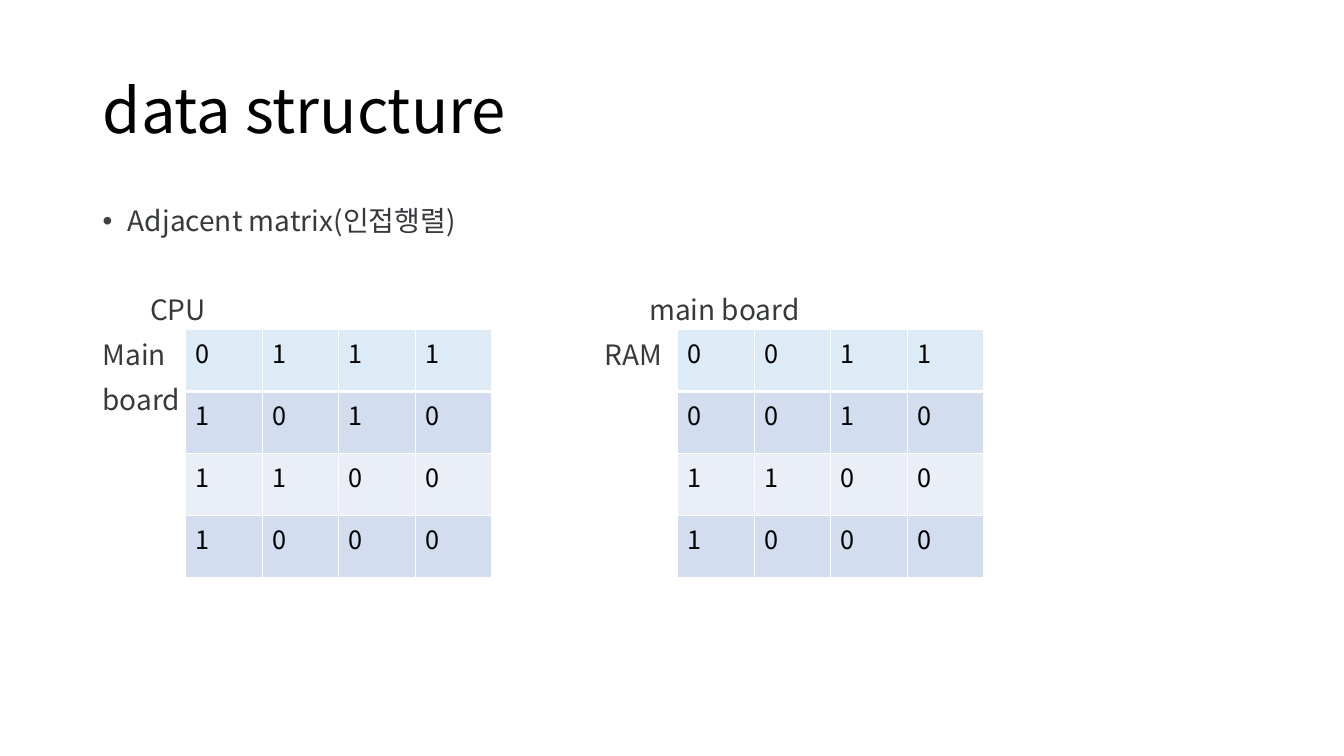
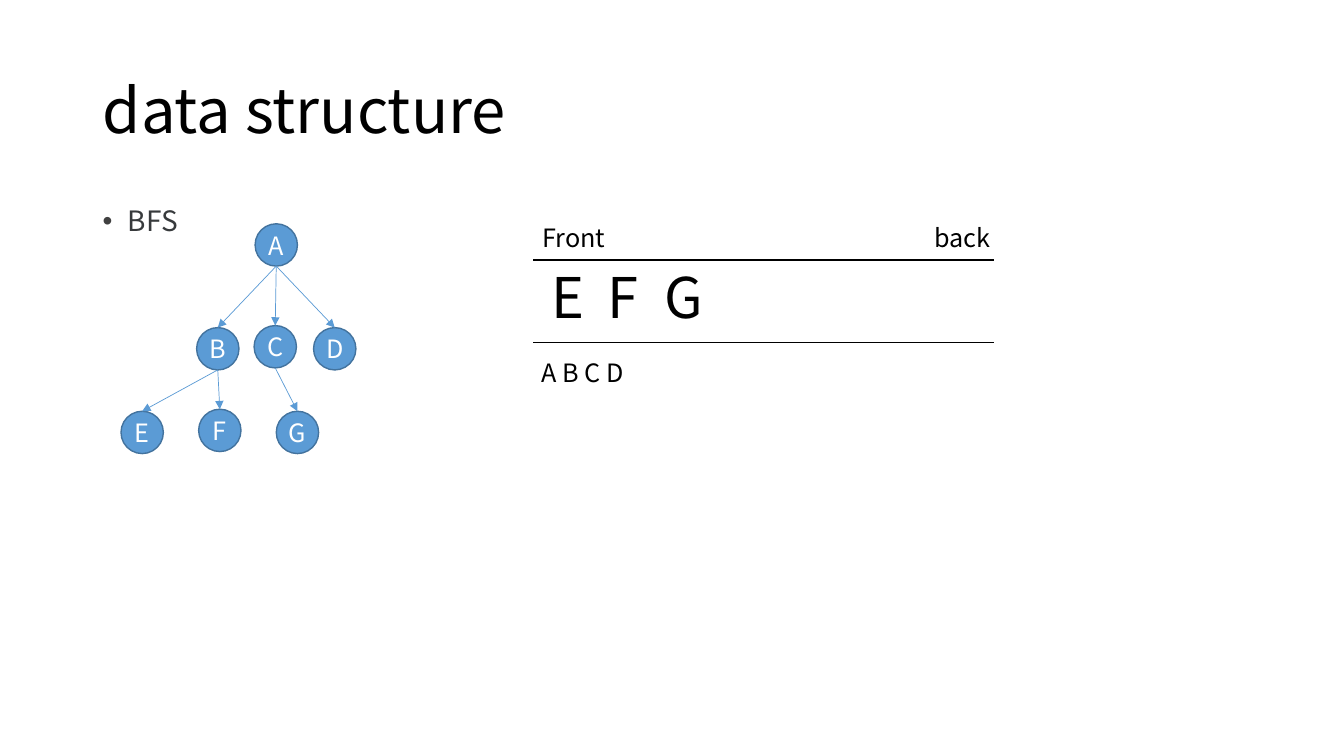
from dataclasses import dataclass

from pptx import Presentation
from pptx import util as u
from pptx.dml.color import RGBColor
from pptx.enum import shapes, text
from pptx.oxml import xmlchemy
from pptx.oxml.ns import qn
from lxml import etree


@dataclass(frozen=True)
class Theme:
    font: str = "Noto Sans CJK KR"
    black: str = "000000"
    white: str = "FFFFFF"
    body: str = "373A3C"
    bullet: str = "404040"
    node: str = "5B9BD5"
    node_line: str = "43739E"
    header_row: str = "DDEBF7"
    dark_row: str = "D2DEEF"
    light_row: str = "EAEFF7"
    title_size: int = 44
    queue_size: int = 40
    body_size: int = 20
    small_size: int = 18
    body_leading: int = 32


THEME = Theme()
NODE_SIZE = 0.42


class Deck:
    def __init__(self, theme):
        self.theme = theme
        self.presentation = Presentation()
        self.presentation.slide_width = u.Inches(13.33)
        self.presentation.slide_height = u.Inches(7.5)
        self.slide = None

    def add_slide(self, title):
        layout = self.presentation.slide_layouts[5]
        self.slide = self.presentation.slides.add_slide(layout)
        shape = self.slide.shapes.title
        shape.left, shape.top = u.Inches(0.92), u.Inches(0.4)
        shape.width, shape.height = u.Inches(11.5), u.Inches(1.45)
        frame = shape.text_frame
        frame.text = title
        frame.vertical_anchor = text.MSO_ANCHOR.MIDDLE
        frame.paragraphs[0].line_spacing = 0.9
        self.style(frame, self.theme.title_size, self.theme.black)

    def style(self, frame, size, color, align=text.PP_ALIGN.LEFT):
        for paragraph in frame.paragraphs:
            paragraph.alignment = align
            for run in paragraph.runs:
                font = run.font
                font.size, font.name, font.bold = u.Pt(size), self.theme.font, False
                font.color.rgb = RGBColor.from_string(color)
                properties = run._r.get_or_add_rPr()
                etree.SubElement(properties, qn("a:ea"), typeface=self.theme.font)

    def label(self, content, left, top, width, height=0.46, size=THEME.small_size,
              color=THEME.black, align=text.PP_ALIGN.LEFT):
        box = self.slide.shapes.add_textbox(
            u.Inches(left), u.Inches(top), u.Inches(width), u.Inches(height))
        frame = box.text_frame
        frame.text = content
        frame.word_wrap = True
        self.style(frame, size, color, align)
        return frame

    def body_label(self, content, left, top, width):
        height = 0.1 + 0.45 * len(content.splitlines())
        frame = self.label(content, left, top, width, height,
                           self.theme.body_size, self.theme.body)
        for paragraph in frame.paragraphs:
            paragraph.line_spacing = u.Pt(self.theme.body_leading)
        return frame

    def bullet(self, content, width):
        frame = self.body_label(content, 0.92, 1.86, width)
        properties = frame.paragraphs[0]._p.get_or_add_pPr()
        properties.set("marL", str(u.Inches(0.25)))
        properties.set("indent", str(-u.Inches(0.25)))
        color = etree.SubElement(properties, qn("a:buClr"))
        etree.SubElement(color, qn("a:srgbClr"), val=self.theme.bullet)
        etree.SubElement(properties, qn("a:buFont"), typeface="Arial")
        etree.SubElement(properties, qn("a:buChar"), char="•")

    def table(self, rows, columns, left, top, width, height):
        """Add a table without the banding of its style."""
        table = self.slide.shapes.add_table(
            rows, columns, u.Inches(left), u.Inches(top),
            u.Inches(width), u.Inches(height)).table
        table.first_row = table.horz_banding = False
        return table

    def cell_borders(self, cell, color, **widths):
        """Draw borders by side (L, R, T, B); widths are points. Call before filling."""
        properties = cell._tc.get_or_add_tcPr()
        for side in "LRTB":
            if side in widths:
                line = etree.SubElement(properties, qn("a:ln" + side),
                                        w=str(u.Pt(widths[side])))
                fill = etree.SubElement(line, qn("a:solidFill"))
                etree.SubElement(fill, qn("a:srgbClr"), val=color)

    def matrix(self, rows, left, top):
        theme = self.theme
        table = self.table(len(rows), len(rows[0]), left, top, 3.04, 2.46)
        fills = [theme.header_row, theme.dark_row, theme.light_row, theme.dark_row]
        for row_index, (values, fill) in enumerate(zip(rows, fills)):
            for column_index, value in enumerate(values):
                cell = table.cell(row_index, column_index)
                cell.text_frame.text = value
                self.style(cell.text_frame, theme.small_size, theme.black)
                self.cell_borders(cell, theme.white, L=1, R=1,
                                  T=3 if row_index == 1 else 1,
                                  B=3 if row_index == 0 else 1)
                cell.fill.solid()
                cell.fill.fore_color.rgb = RGBColor.from_string(fill)

    def queue(self, left, top, width, height):
        cell = self.table(1, 1, left, top, width, height).cell(0, 0)
        self.cell_borders(cell, self.theme.black, T=1, B=1)
        cell.fill.background()

    def node(self, name, left, top):
        theme = self.theme
        shape = self.slide.shapes.add_shape(
            shapes.MSO_SHAPE.OVAL, u.Inches(left), u.Inches(top),
            u.Inches(NODE_SIZE), u.Inches(NODE_SIZE))
        shape.shadow.inherit = False
        shape.fill.solid()
        shape.fill.fore_color.rgb = RGBColor.from_string(theme.node)
        shape.line.color.rgb = RGBColor.from_string(theme.node_line)
        shape.line.width = u.Pt(1)
        frame = shape.text_frame
        frame.margin_left = frame.margin_right = 0
        frame.margin_top = frame.margin_bottom = 0
        frame.vertical_anchor = text.MSO_ANCHOR.MIDDLE
        frame.text = name
        self.style(frame, theme.small_size, theme.white, text.PP_ALIGN.CENTER)
        return shape

    def arrow(self, parent, child):
        """Point from the bottom of one node to the top of another."""
        connector = self.slide.shapes.add_connector(
            shapes.MSO_CONNECTOR.STRAIGHT,
            parent.left + parent.width // 2, parent.top + parent.height,
            child.left + child.width // 2, child.top)
        connector.line.color.rgb = RGBColor.from_string(self.theme.node)
        connector.line.width = u.Pt(0.5)
        properties = connector._element.spPr
        etree.SubElement(properties.find(qn("a:ln")), qn("a:tailEnd"), type="triangle")
        etree.SubElement(properties, qn("a:effectLst"))


def add_matrix_slide(deck):
    deck.add_slide("data structure")
    deck.bullet("Adjacent matrix(인접행렬)", 11.5)
    deck.body_label("CPU", 1.39, 2.74, 1.5)
    deck.body_label("Main\nboard", 0.92, 3.19, 1.1)
    deck.body_label("main board", 6.34, 2.74, 2.5)
    deck.body_label("RAM", 5.9, 3.19, 0.9)
    deck.matrix(["0111", "1010", "1100", "1000"], 1.84, 3.27)
    deck.matrix(["0011", "0010", "1100", "1000"], 6.72, 3.27)


def add_search_slide(deck):
    deck.add_slide("data structure")
    deck.bullet("BFS", 4.1)
    places = {"A": (2.53, 2.22),
              "B": (1.95, 3.25), "C": (2.52, 3.23), "D": (3.11, 3.25),
              "E": (1.2, 4.08), "F": (1.97, 4.06), "G": (2.74, 4.08)}
    nodes = {name: deck.node(name, *place) for name, place in places.items()}
    for parent, children in {"A": "BCD", "B": "EF", "C": "G"}.items():
        for child in children:
            deck.arrow(nodes[parent], nodes[child])

    deck.queue(5.28, 2.58, 4.58, 0.82)
    deck.label("Front", 5.28, 2.16, 1.2)
    deck.label("back", 8.72, 2.16, 1.2, align=text.PP_ALIGN.RIGHT)
    for index, name in enumerate("EFG"):
        deck.label(name, 5.37 + 0.56 * index, 2.56, 0.7, 0.9, THEME.queue_size)
    deck.label("A B C D", 5.27, 3.5, 1.5)


def main():
    deck = Deck(THEME)
    add_matrix_slide(deck)
    add_search_slide(deck)
    deck.presentation.save("out.pptx")


if __name__ == "__main__":
    main()
